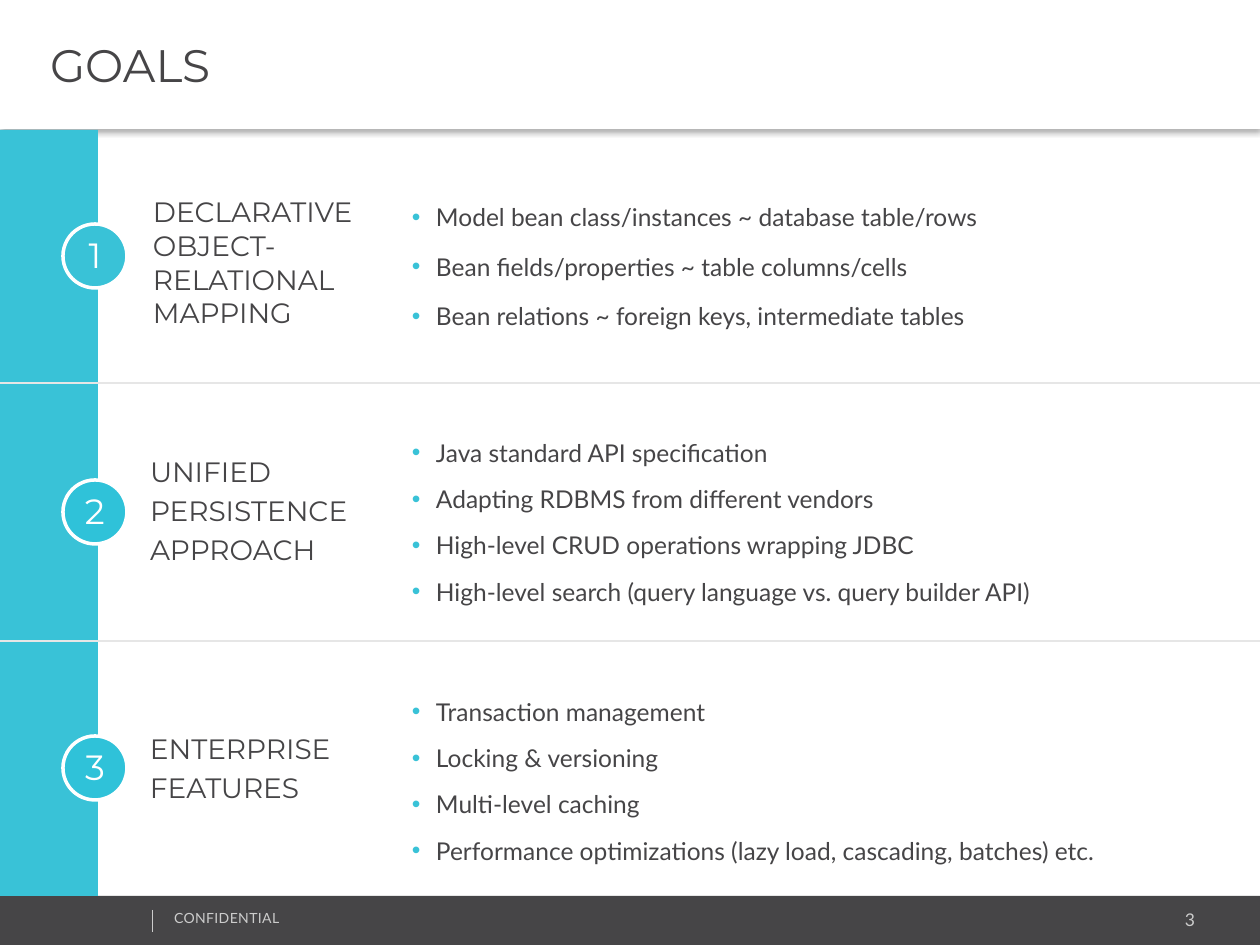
import pptx
import pptx.dml.color
import pptx.enum.shapes
import pptx.enum.text
import pptx.oxml.ns
import pptx.util
from lxml import etree

EMU_PER_INCH = 914400
PX_PER_INCH = 126
WIDTH, HEIGHT = 1260, 945
TITLE_HEIGHT, FOOTER_TOP = 129, 896
SIDEBAR_WIDTH = 98
CIRCLE_LEFT, CIRCLE_SIZE = 63, 64

DARK, TEAL, BRIGHT_TEAL = "464547", "39C2D7", "2FC2D9"
WHITE, LIGHT, RULE = "FFFFFF", "CCCCCC", "E6E6E6"
HEADING_FONT, BODY_FONT = "Montserrat", "Lato"
LEFT, CENTER, RIGHT = (pptx.enum.text.PP_ALIGN.LEFT, pptx.enum.text.PP_ALIGN.CENTER,
                       pptx.enum.text.PP_ALIGN.RIGHT)
TOP, MIDDLE = pptx.enum.text.MSO_ANCHOR.TOP, pptx.enum.text.MSO_ANCHOR.MIDDLE
SHAPES = pptx.enum.shapes.MSO_SHAPE

# Each goal: row top and bottom, circle colour, heading box, bullet offset and spacing
GOALS = [
    dict(top=129, bottom=383, color=TEAL, heading=["DECLARATIVE OBJECT-RELATIONAL MAPPING"],
         heading_box=(140, 60, 248, 149), bullet_top=37, bullet_width=819, line_spacing=1.2,
         bullets=["Model bean class/instances ~ database table/rows",
                  "Bean fields/properties ~ table columns/cells",
                  "Bean relations ~ foreign keys, intermediate tables"]),
    dict(top=383, bottom=641, color=BRIGHT_TEAL, heading=["UNIFIED", "PERSISTENCE", "APPROACH"],
         heading_box=(137, 66, 248, 129), bullet_top=40, bullet_width=791, line_spacing=1.1,
         bullets=["Java standard API specification",
                  "Adapting RDBMS from different vendors",
                  "High-level CRUD operations wrapping JDBC",
                  "High-level search (query language vs. query builder API)"]),
    dict(top=641, bottom=896, color=BRIGHT_TEAL, heading=["ENTERPRISE", "FEATURES"],
         heading_box=(137, 85, 240, 87), bullet_top=41, bullet_width=791, line_spacing=1.1,
         bullets=["Transaction management",
                  "Locking & versioning",
                  "Multi-level caching",
                  "Performance optimizations (lazy load, cascading, batches) etc."]),
]


def px(value):
    return pptx.util.Emu(round(value * EMU_PER_INCH / PX_PER_INCH))


def rgb(color):
    return pptx.dml.color.RGBColor.from_string(color)


def add_element(parent, tag, **attributes):
    return etree.SubElement(parent, pptx.oxml.ns.qn(tag), attributes)


def fill_shape(shape, color):
    shape.fill.solid()
    shape.fill.fore_color.rgb = rgb(color)


def add_block(slide, preset, box, color):
    shape = slide.shapes.add_shape(preset, *map(px, box))
    shape.shadow.inherit = False
    fill_shape(shape, color)
    shape.line.fill.background()
    return shape


def add_rule(slide, start, end, color, points):
    line = slide.shapes.add_connector(pptx.enum.shapes.MSO_CONNECTOR.STRAIGHT,
                                      *map(px, start + end))
    line.line.color.rgb = rgb(color)
    line.line.width = pptx.util.Pt(points)
    add_element(line._element.spPr, "a:effectLst")


def add_bullet(paragraph, indent):
    properties = paragraph._p.get_or_add_pPr()
    properties.set("marL", str(px(indent)))
    properties.set("indent", str(-px(indent)))
    add_element(add_element(properties, "a:buClr"), "a:srgbClr", val=TEAL)
    add_element(properties, "a:buFont", typeface="Arial")
    add_element(properties, "a:buChar", char="•")


def write_text(shape, lines, font, size, color, align=LEFT, anchor=TOP,
               margins=(13, 6, 13, 6), bullet_indent=0,
               line_spacing=None, space_before=0, space_after=0):
    frame = shape.text_frame
    frame.auto_size = pptx.enum.text.MSO_AUTO_SIZE.NONE
    frame.word_wrap = True
    frame.vertical_anchor = anchor
    (frame.margin_left, frame.margin_top,
     frame.margin_right, frame.margin_bottom) = map(px, margins)
    for index, line in enumerate(lines):
        paragraph = frame.add_paragraph() if index else frame.paragraphs[0]
        paragraph.text = line
        paragraph.alignment = align
        if line_spacing:
            paragraph.line_spacing = line_spacing
        paragraph.space_before = pptx.util.Pt(space_before if index else 0)
        paragraph.space_after = pptx.util.Pt(space_after)
        if bullet_indent:
            add_bullet(paragraph, bullet_indent)
        paragraph.font.name = font
        paragraph.font.size = pptx.util.Pt(size)
        paragraph.font.color.rgb = rgb(color)


def add_text(slide, box, lines, font, size, color, **options):
    text_box = slide.shapes.add_textbox(*map(px, box))
    write_text(text_box, lines, font, size, color, **options)
    return text_box


def format_title(slide, box):
    title = slide.shapes.title
    title.left, title.top, title.width, title.height = map(px, box)
    fill_shape(title, WHITE)
    write_text(title, ["GOALS"], HEADING_FONT, 26, DARK, anchor=MIDDLE,
               margins=(50, 6, 13, 6))
    # Soft shadow straight below the title bar
    effects = add_element(title._element.spPr, "a:effectLst")
    shadow = add_element(effects, "a:outerShdw", blurRad=str(pptx.util.Pt(3.1)),
                         dist=str(pptx.util.Pt(2)), dir="5400000",
                         algn="t", rotWithShape="0")
    shadow_color = add_element(shadow, "a:srgbClr", val="000000")
    add_element(shadow_color, "a:alpha", val="30000")


def add_footer(slide, left, top, width, height):
    add_block(slide, SHAPES.RECTANGLE, (left, top, width, height), DARK)
    add_rule(slide, (left + 152, top + 14), (left + 152, top + 36), LIGHT, 0.25)
    label = add_text(slide, (left + 161, top + 8, 319, 30), ["CONFIDENTIAL"],
                     BODY_FONT, 8, LIGHT)
    label.text_frame.paragraphs[0].runs[0].font._element.set("spc", "20")
    add_text(slide, (left + 1003, top + 7, 205, 34), ["3"], BODY_FONT, 10, LIGHT, align=RIGHT)


def add_goal(slide, number, goal, left, top, width, height):
    # Numbered circle, centred on the row
    circle_top = top + (height - CIRCLE_SIZE) // 2
    circle = add_block(slide, SHAPES.OVAL,
                       (left + CIRCLE_LEFT, circle_top, CIRCLE_SIZE, CIRCLE_SIZE),
                       goal["color"])
    circle.line.color.rgb = rgb(WHITE)
    circle.line.width = pptx.util.Pt(2)
    write_text(circle, [str(number)], HEADING_FONT, 20, WHITE, align=CENTER,
               anchor=MIDDLE, margins=(0, 4, 0, 6))

    # Heading and bullets
    x, y, heading_width, heading_height = goal["heading_box"]
    add_text(slide, (left + x, top + y, heading_width, heading_height), goal["heading"],
             HEADING_FONT, 16, DARK, space_before=3)
    add_text(slide, (left + 399, top + goal["bullet_top"], goal["bullet_width"], 195),
             goal["bullets"], BODY_FONT, 14, DARK, anchor=MIDDLE, bullet_indent=24,
             line_spacing=goal["line_spacing"], space_after=8)

    # Divider between rows
    if number < len(GOALS):
        add_rule(slide, (left, top + height), (left + width, top + height), RULE, 1)


def main():
    presentation = pptx.Presentation()
    presentation.slide_width, presentation.slide_height = px(WIDTH), px(HEIGHT)
    slide = presentation.slides.add_slide(presentation.slide_layouts[5])

    add_footer(slide, 0, FOOTER_TOP, WIDTH, HEIGHT - FOOTER_TOP)
    format_title(slide, (0, 0, WIDTH, TITLE_HEIGHT))
    add_block(slide, SHAPES.RECTANGLE,
              (0, TITLE_HEIGHT + 1, SIDEBAR_WIDTH, FOOTER_TOP - TITLE_HEIGHT - 1), TEAL)
    for number, goal in enumerate(GOALS, start=1):
        add_goal(slide, number, goal, 0, goal["top"], WIDTH, goal["bottom"] - goal["top"])

    presentation.save("out.pptx")


if __name__ == "__main__":
    main()
